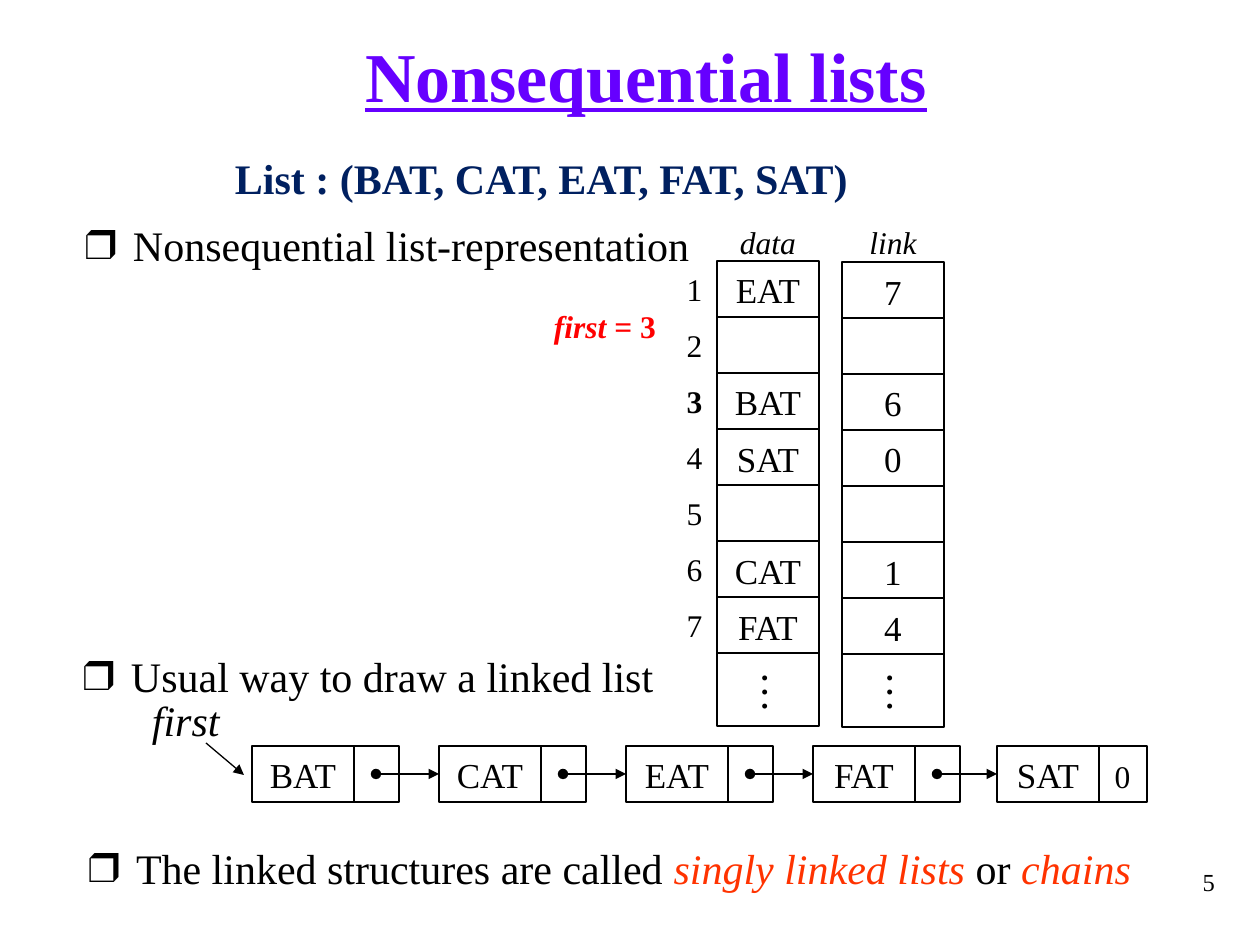
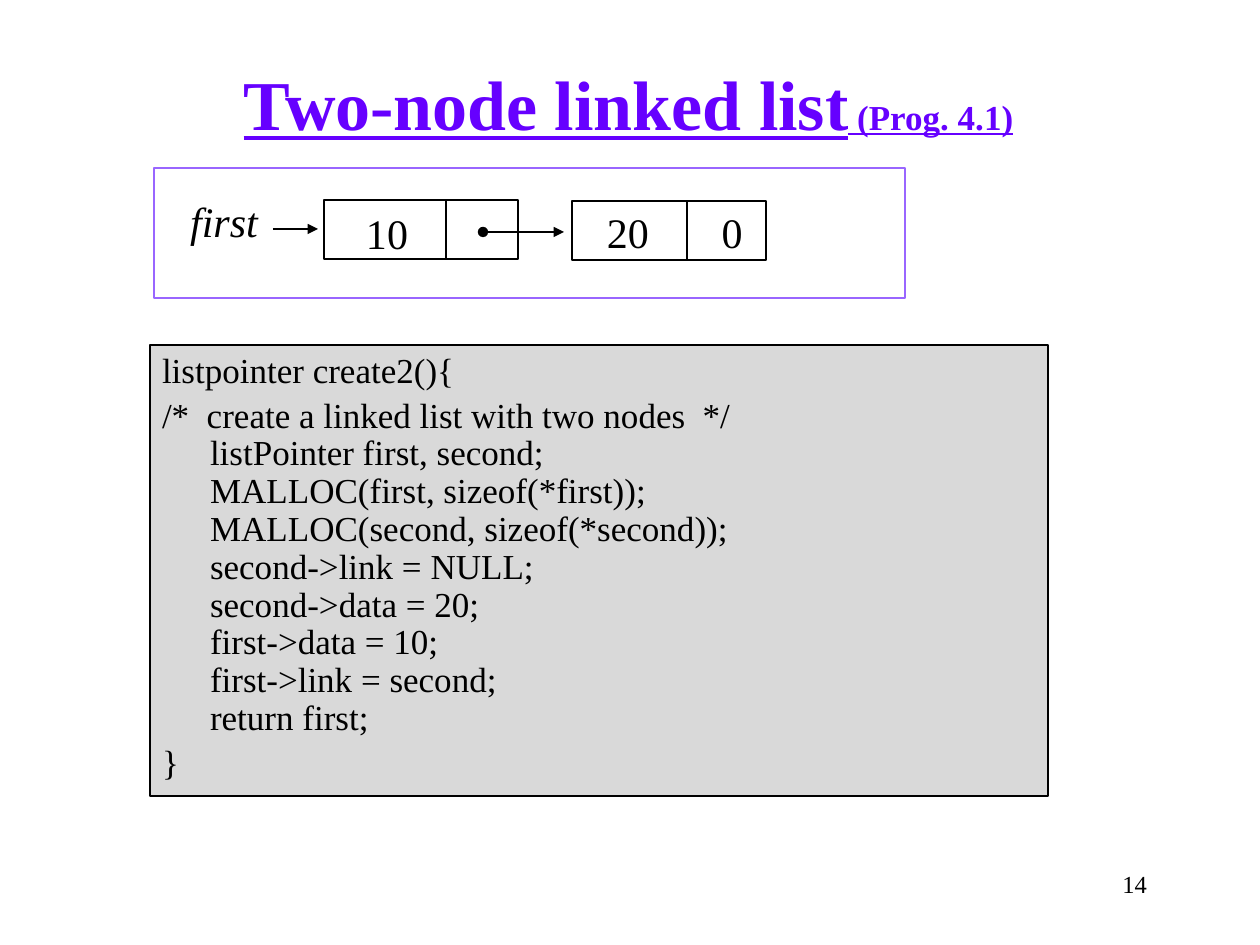
from lxml import etree
from pptx import Presentation
from pptx.dml.color import RGBColor
from pptx.enum.shapes import MSO_CONNECTOR as Connector, MSO_SHAPE as Shape
from pptx.enum.text import MSO_ANCHOR as Anchor, MSO_AUTO_SIZE as AutoSize, PP_ALIGN as Align
from pptx.oxml.ns import qn
from pptx.util import Emu, Pt

PX_PER_INCH = 126
FONT = "Times New Roman"
COLORS = {
    "ink": "000000",
    "title": "6600FF",
    "navy": "002060",
    "red": "FF0000",
    "term": "FF3300",
    "code": "D9D9D9",
    "frame": "9966FF",
}
ROW_HEIGHT = 56
DATA_WIDTH = 102
LINK_WIDTH = 45


def px(length):
    return Emu(round(length * 914400 / PX_PER_INCH))


def rgb(name):
    return RGBColor.from_string(COLORS[name])


def style_run(run, size, color="ink", bold=False, italic=False, underline=False):
    font = run.font
    font.name = FONT
    font.size = Pt(size)
    font.bold = bold
    font.italic = italic
    font.underline = underline
    font.color.rgb = rgb(color)


def style_paragraph(paragraph, size, align=Align.LEFT, **look):
    paragraph.alignment = align
    for run in paragraph.runs:
        style_run(run, size, **look)


def set_frame(frame, align=Align.LEFT, anchor=Anchor.TOP):
    side = 0 if align == Align.CENTER else 12
    frame.word_wrap = True
    frame.auto_size = AutoSize.NONE
    frame.vertical_anchor = anchor
    frame.margin_left = frame.margin_right = px(side)
    frame.margin_top, frame.margin_bottom = px(8), px(4)


def add_title(slide, box, fragments):
    title = slide.shapes.title
    title.left, title.top, title.width, title.height = map(px, box)
    set_frame(title.text_frame, Align.CENTER, Anchor.MIDDLE)
    paragraph = title.text_frame.paragraphs[0]
    paragraph.alignment = Align.CENTER
    for text, size in fragments:
        run = paragraph.add_run()
        run.text = text
        style_run(run, size, "title", bold=True, underline=True)


def add_label(slide, box, text, size, align=Align.LEFT, **look):
    label = slide.shapes.add_textbox(*map(px, box))
    frame = label.text_frame
    set_frame(frame, align)
    frame.text = text
    style_paragraph(frame.paragraphs[0], size, align, **look)
    return label


def add_rich_label(slide, box, size, fragments):
    label = add_label(slide, box, "", size)
    paragraph = label.text_frame.paragraphs[0]
    for text, look in fragments:
        run = paragraph.add_run()
        run.text = text
        style_run(run, size, **look)
    return label


def add_bullet(slide, left, top, width, fragments):
    label = add_rich_label(slide, (left, top, width, 63), 24, fragments)
    properties = label.text_frame.paragraphs[0]._p.get_or_add_pPr()
    properties.set("marL", str(px(48)))
    properties.set("indent", str(-px(48)))
    color = etree.SubElement(properties, qn("a:buClr"))
    etree.SubElement(color, qn("a:srgbClr"), val=COLORS["ink"])
    etree.SubElement(properties, qn("a:buFont"), typeface=FONT)
    etree.SubElement(properties, qn("a:buChar"), char="❒")


def add_rect(slide, box, text="", size=20, line="ink", fill=None):
    rect = slide.shapes.add_shape(Shape.RECTANGLE, *map(px, box))
    rect.shadow.inherit = False
    if fill:
        rect.fill.solid()
        rect.fill.fore_color.rgb = rgb(fill)
    else:
        rect.fill.background()
    rect.line.color.rgb = rgb(line)
    rect.line.width = Pt(0.75)
    if text:
        set_frame(rect.text_frame, Align.CENTER)
        rect.text_frame.text = text
        style_paragraph(rect.text_frame.paragraphs[0], size, Align.CENTER)
    return rect


def add_line(slide, start, end, head=None, tail=None):
    line = slide.shapes.add_connector(Connector.STRAIGHT, *map(px, (*start, *end)))
    line.line.color.rgb = rgb("ink")
    line.line.width = Pt(0.75)
    outline = line.line._get_or_add_ln()
    for tag, kind in (("a:headEnd", head), ("a:tailEnd", tail)):
        if kind:
            etree.SubElement(outline, qn(tag), type=kind)
    etree.SubElement(line._element.spPr, qn("a:effectLst"))
    return line


def add_split_node(slide, box, data_width):
    left, top, _, height = box
    node = add_rect(slide, box)
    divider = left + data_width
    add_line(slide, (divider, top), (divider, top + height))
    return node


def add_ellipsis(slide, left, top):
    dots = add_label(slide, (left, top, 76, 52), "…", 24, Align.CENTER)
    dots.text_frame.margin_right = px(12)
    dots.text_frame._txBody.bodyPr.set("vert", "eaVert")


def add_array(slide, left, top, heading, values):
    add_label(slide, (left, 215, DATA_WIDTH, 50), heading, 18, Align.CENTER, italic=True)
    for row, value in enumerate(values):
        add_rect(slide, (left, top + row * ROW_HEIGHT, DATA_WIDTH, ROW_HEIGHT), value)
    rest_top = top + len(values) * ROW_HEIGHT
    add_rect(slide, (left, rest_top, DATA_WIDTH, 73))
    add_ellipsis(slide, left + 24, 664)


def add_chain(slide, left, top, step, words):
    *linked, last = words
    middle = top + ROW_HEIGHT // 2
    nodes = []
    for index, word in enumerate(linked):
        node_left = left + index * step
        nodes.append(add_rect(slide, (node_left, top, DATA_WIDTH, ROW_HEIGHT), word))
        add_rect(slide, (node_left + DATA_WIDTH, top, LINK_WIDTH, ROW_HEIGHT))
    last_left = left + len(linked) * step - 3
    nodes.append(add_split_node(slide, (last_left, top, 150, ROW_HEIGHT), DATA_WIDTH))
    add_label(slide, (last_left, top, DATA_WIDTH, ROW_HEIGHT), last, 20, Align.CENTER)
    add_label(slide, (last_left + DATA_WIDTH, top + 3, 47, 50), "0", 18, Align.CENTER)
    for index, target in enumerate(nodes[1:]):
        dot = left + index * step + 124
        arrow = add_line(slide, (dot, middle), (dot + 63, middle), "oval", "triangle")
        arrow.end_connect(target, 1)


def add_code(slide, box, blocks):
    frame = add_rect(slide, box, fill="code").text_frame
    set_frame(frame)
    for index, block in enumerate(blocks):
        paragraph = frame.add_paragraph() if index else frame.paragraphs[0]
        paragraph.text = block
        paragraph.line_spacing = 0.9
        if index:
            paragraph.space_before = Pt(4)
        properties = paragraph._p.get_or_add_pPr()
        properties.set("marL", str(px(48)))
        properties.set("indent", str(-px(48)))
        style_paragraph(paragraph, 20)


def add_number(slide, right, top, number):
    add_label(slide, (right - 72, top, 72, 63), number, 14, Align.RIGHT)


def build_nonsequential(slide):
    plain = {}
    term = {"color": "term", "italic": True}
    add_title(slide, (209, 24, 874, 97), [("Nonsequential lists", 40)])
    contents = add_label(slide, (223, 154, 706, 54), "List : (BAT, CAT, EAT, FAT, SAT)",
                         24, color="navy", bold=True)
    contents.text_frame.paragraphs[0].line_spacing = 0.8
    add_array(slide, 717, 261, "data", ["EAT", "", "BAT", "SAT", "", "CAT", "FAT"])
    add_array(slide, 842, 262, "link", ["7", "", "6", "0", "", "1", "4"])
    for index in range(1, 8):
        top = 262 + (index - 1) * ROW_HEIGHT
        add_label(slide, (674, top, 41, 50), str(index), 18, Align.CENTER, bold=index == 3)
    add_bullet(slide, 73, 212, 695, [("Nonsequential list-representation", plain)])
    add_bullet(slide, 71, 643, 695, [("Usual way to draw a linked list", plain)])
    add_bullet(slide, 76, 835, 1105, [
        ("The linked structures are called ", plain),
        ("singly linked lists", term),
        (" or ", plain),
        ("chains", term),
    ])
    add_rich_label(slide, (542, 299, 140, 50), 18, [
        ("first ", {"color": "red", "bold": True, "italic": True}),
        ("= 3", {"color": "red", "bold": True}),
    ])
    add_label(slide, (140, 687, 111, 63), "first", 24, italic=True)
    add_line(slide, (206, 743), (244, 775), tail="triangle")
    add_chain(slide, 252, 746, 187, ["BAT", "CAT", "EAT", "FAT", "SAT"])
    add_number(slide, 1227, 859, "5")


def build_two_node(slide):
    add_title(slide, (93, 44, 1071, 113), [("Two-node linked list", 40), (" (Prog. 4.1)", 20)])
    add_code(slide, (150, 345, 898, 451), [
        "listpointer create2(){",
        "\n".join([
            "/*  create a linked list with two nodes  */",
            "listPointer first, second;",
            "MALLOC(first, sizeof(*first));",
            "MALLOC(second, sizeof(*second));",
            "second->link = NULL;",
            "second->data = 20;",
            "first->data = 10;",
            "first->link = second;",
            "return first;",
        ]),
        "}",
    ])
    add_split_node(slide, (324, 200, 194, 59), 122)
    add_split_node(slide, (572, 201, 194, 59), 115)
    for left, top, value in ((339, 200, "10"), (580, 199, "20"), (684, 199, "0")):
        add_label(slide, (left, top, 96, 62), value, 24, Align.CENTER)
    add_label(slide, (174, 188, 100, 62), "first", 24, Align.CENTER, italic=True)
    add_line(slide, (273, 229), (318, 229), tail="triangle")
    add_line(slide, (483, 232), (564, 232), "oval", "triangle")
    add_rect(slide, (154, 168, 751, 130), line="frame")
    add_number(slide, 1159, 861, "14")


def main():
    deck = Presentation()
    deck.slide_width, deck.slide_height = px(1260), px(945)
    title_only = deck.slide_layouts[5]
    for build in (build_nonsequential, build_two_node):
        build(deck.slides.add_slide(title_only))
    deck.save("out.pptx")


if __name__ == "__main__":
    main()
